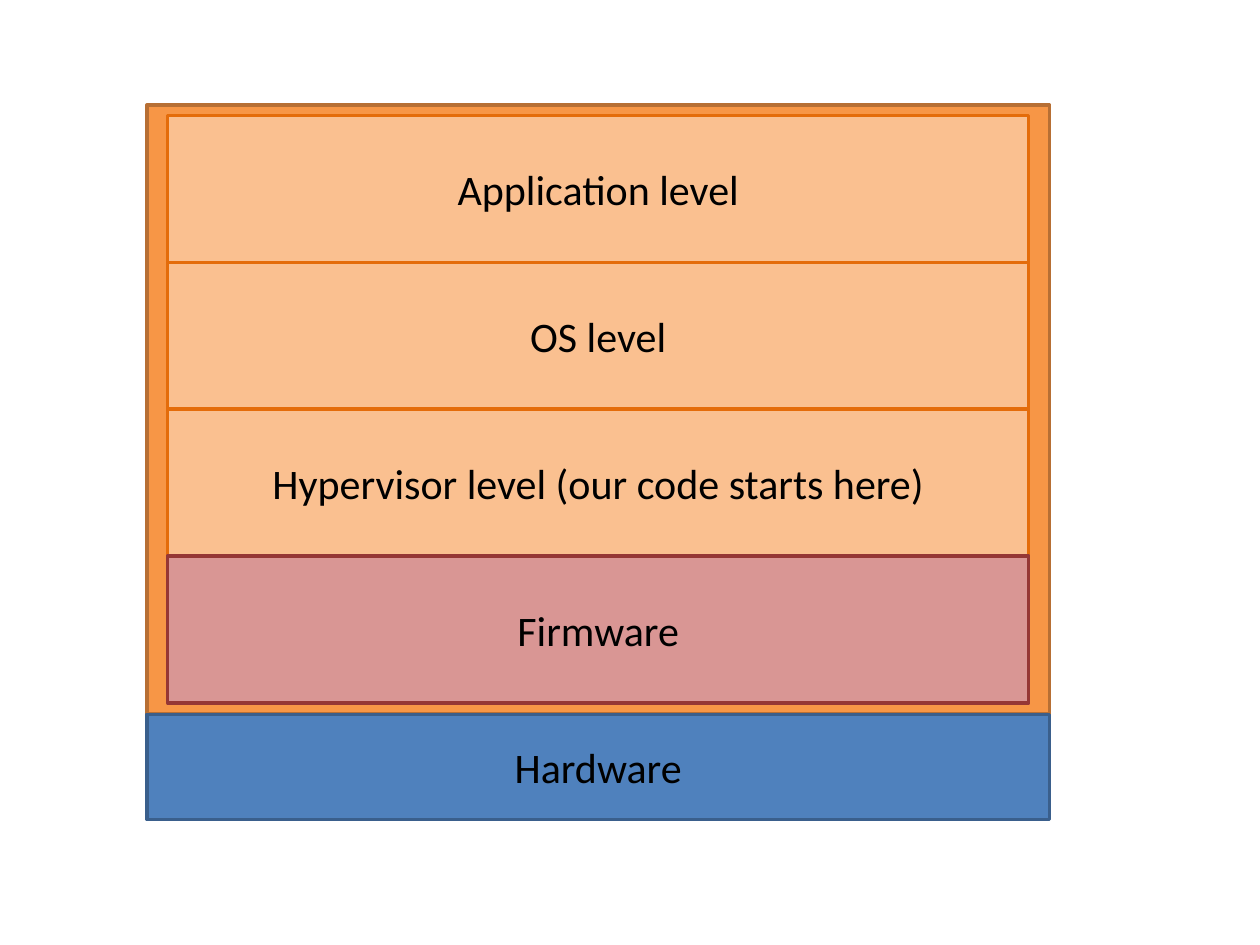
"""Build a slide showing the software levels stacked on the hardware."""
from dataclasses import dataclass

from pptx import Presentation
from pptx.dml.color import RGBColor
from pptx.enum.shapes import MSO_SHAPE
from pptx.enum.text import MSO_ANCHOR, PP_ALIGN
from pptx.slide import Slide
from pptx.util import Cm, Pt

RECTANGLE = MSO_SHAPE.RECTANGLE
MIDDLE = MSO_ANCHOR.MIDDLE
CENTER = PP_ALIGN.CENTER

COLORS = {
    "text": "000000",
    "frame": "F79646",
    "frame_line": "B76F34",
    "hardware": "4F81BD",
    "hardware_line": "3A5F8C",
    "level": "FAC090",
    "level_line": "E46C0A",
    "firmware": "D99694",
    "firmware_line": "953735",
}
FONT_FORMAT = {"name": "Calibri", "size": Pt(24), "bold": False}
LEVELS = (
    ("Application level", "level"),
    ("OS level", "level"),
    ("Hypervisor level (our code starts here)", "level"),
    ("Firmware", "firmware"),
)
FRAME_LEFT, FRAME_TOP, FRAME_WIDTH, FRAME_HEIGHT = 2.96, 2.12, 18.2, 12.28
HARDWARE_HEIGHT = 2.12
SIDE_MARGIN, TOP_MARGIN = 0.42, 0.21
LEVEL_HEIGHT = 2.96


@dataclass(frozen=True)
class Box:
    """A coloured rectangle measured in centimetres."""

    left: float
    top: float
    width: float
    height: float
    color: str
    label: str = ""


def stack_boxes() -> list[Box]:
    """Return the frame, the hardware and the levels from back to front."""
    frame = Box(FRAME_LEFT, FRAME_TOP, FRAME_WIDTH, FRAME_HEIGHT, "frame")
    hardware = Box(FRAME_LEFT, FRAME_TOP + FRAME_HEIGHT, FRAME_WIDTH,
                   HARDWARE_HEIGHT, "hardware", "Hardware")
    levels = [
        Box(FRAME_LEFT + SIDE_MARGIN,
            FRAME_TOP + TOP_MARGIN + index * LEVEL_HEIGHT,
            FRAME_WIDTH - 2 * SIDE_MARGIN, LEVEL_HEIGHT, color, label)
        for index, (label, color) in enumerate(LEVELS)
    ]
    return [frame, hardware, *levels]


def draw_box(slide: Slide, box: Box) -> None:
    """Draw one box with its centred label."""
    shape = slide.shapes.add_shape(RECTANGLE, Cm(box.left), Cm(box.top),
                                   Cm(box.width), Cm(box.height))
    shape.shadow.inherit = False
    shape.fill.solid()
    shape.fill.fore_color.rgb = RGBColor.from_string(COLORS[box.color])
    shape.line.color.rgb = RGBColor.from_string(COLORS[f"{box.color}_line"])
    shape.line.width = Pt(2)
    if not box.label:
        return
    shape.text_frame.vertical_anchor = MIDDLE
    paragraph = shape.text_frame.paragraphs[0]
    paragraph.alignment = CENTER
    run = paragraph.add_run()
    run.text = box.label
    for attribute, value in FONT_FORMAT.items():
        setattr(run.font, attribute, value)
    run.font.color.rgb = RGBColor.from_string(COLORS["text"])


def main() -> None:
    """Create and save the presentation."""
    presentation = Presentation()
    presentation.slide_width = Cm(25.4)
    presentation.slide_height = Cm(19.05)
    slide = presentation.slides.add_slide(presentation.slide_layouts[6])
    for box in stack_boxes():
        draw_box(slide, box)
    presentation.save("out.pptx")


if __name__ == "__main__":
    main()
